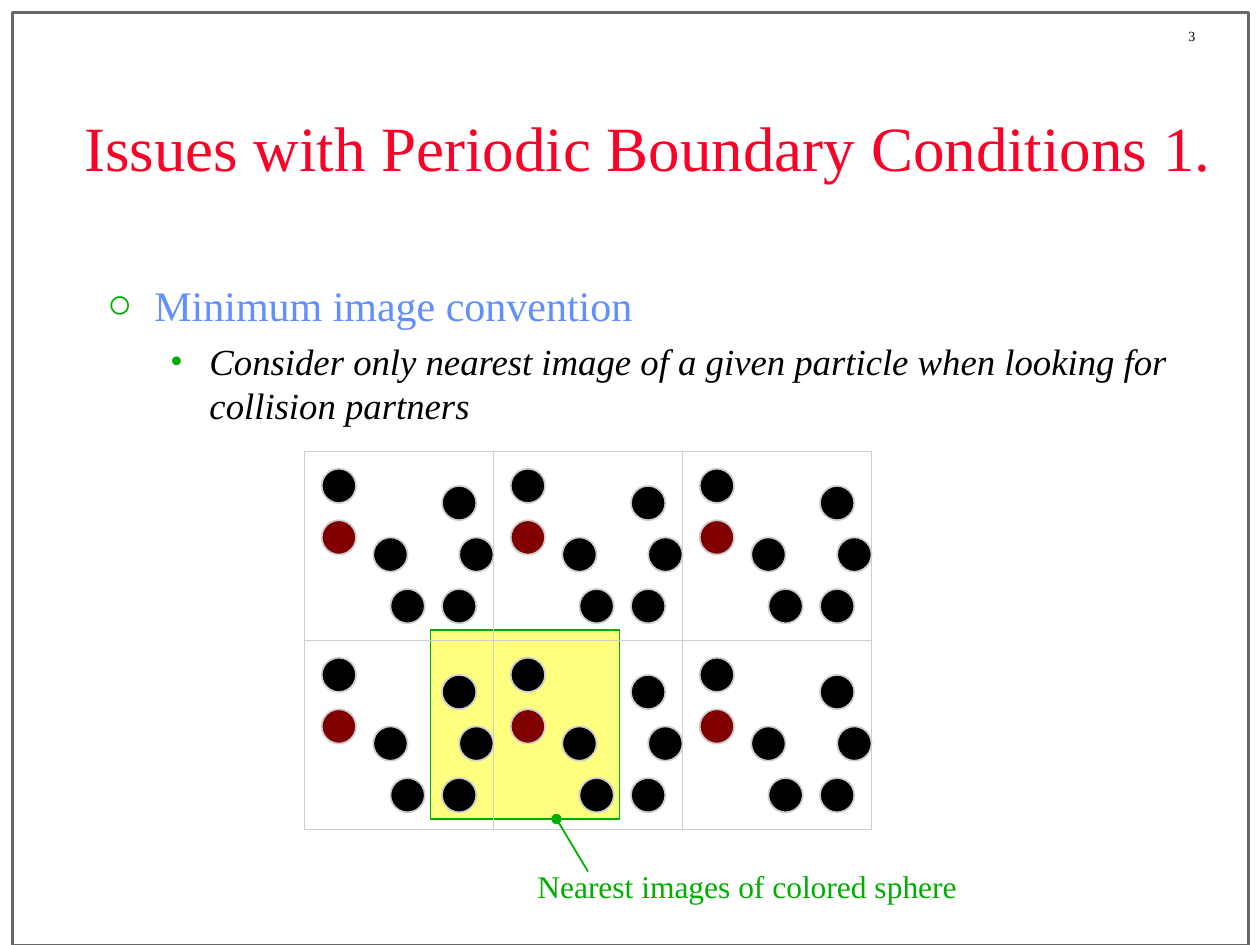
from lxml import etree
from pptx import Presentation
from pptx import util as u
from pptx.dml import color
from pptx.enum import shapes, text
from pptx.oxml import ns

RECT = shapes.MSO_SHAPE.RECTANGLE
OVAL = shapes.MSO_SHAPE.OVAL
GREEN, GREY, BLACK, RED = "00AE00", "CECECE", "000000", "800000"


def rgb(code):
    return color.RGBColor.from_string(code)


def put(item, values):
    for name, value in values.items():
        setattr(item, name, value)


def sub(node, tag, **attrs):
    return etree.SubElement(node, ns.qn(tag), attrs)


class Deck:
    face = "Times New Roman"

    def __init__(self, wide, high):
        self.file = Presentation()
        put(self.file, {"slide_width": u.Pt(wide), "slide_height": u.Pt(high)})
        self.slide = self.file.slides.add_slide(self.file.slide_layouts[1])

    def place(self, item, box):
        names = ("left", "top", "width", "height")
        put(item, {name: u.Pt(size) for name, size in zip(names, box)})

    def frame(self, item, anchor="TOP"):
        put(item.text_frame, {
            "word_wrap": True,
            "auto_size": text.MSO_AUTO_SIZE.NONE,
            "vertical_anchor": getattr(text.MSO_ANCHOR, anchor),
            "margin_left": u.Pt(7.2), "margin_right": u.Pt(7.2),
            "margin_top": u.Pt(3.6), "margin_bottom": u.Pt(3.6)})
        return item.text_frame

    def para(self, para, words, size, tint, gap=0, italic=False,
             align="LEFT", level=0):
        put(para, {"level": level, "space_before": u.Pt(gap),
                   "alignment": getattr(text.PP_ALIGN, align)})
        run = para.add_run()
        run.text = words
        put(run.font, {"name": self.face, "size": u.Pt(size),
                       "italic": italic, "bold": False})
        run.font.color.rgb = rgb(tint)

    def title(self, words, box, size, tint):
        item = self.slide.shapes.title
        self.place(item, box)
        frame = self.frame(item, "MIDDLE")
        self.para(frame.paragraphs[0], words, size, tint, align="CENTER")

    def body(self, box, rows):
        item = self.slide.placeholders[1]
        self.place(item, box)
        frame = self.frame(item)
        for level, (sign, left, hang, style) in enumerate(rows):
            para = frame.add_paragraph() if level else frame.paragraphs[0]
            props = para._p.get_or_add_pPr()
            props.set("marL", str(u.Pt(left)))
            props.set("indent", str(u.Pt(-hang)))
            sub(sub(props, "a:buClr"), "a:srgbClr", val=GREEN)
            sub(props, "a:buFont", typeface=self.face)
            sub(props, "a:buChar", char=sign)
            self.para(para, level=level, **style)

    def label(self, words, box, size, tint):
        item = self.slide.shapes.add_textbox(*map(u.Pt, box))
        self.para(self.frame(item).paragraphs[0], words, size, tint)

    def shape(self, kind, box, line, fill=None, weight=1, alpha=None,
              group=None):
        home = (group or self.slide).shapes
        item = home.add_shape(kind, *map(u.Pt, box))
        item.shadow.inherit = False
        item.line.color.rgb = rgb(line)
        item.line.width = u.Pt(weight)
        if fill is None:
            item.fill.background()
            return
        item.fill.solid()
        item.fill.fore_color.rgb = rgb(fill)
        if alpha:
            tone = item._element.spPr.find(ns.qn("a:solidFill"))[0]
            sub(tone, "a:alpha", val=str(alpha * 1000))

    def cell(self, left, top, side, balls):
        group = self.slide.shapes.add_group_shape()
        self.shape(RECT, (left, top, side, side), GREY, group=group)
        step = side / 11
        for col, row, fill in balls:
            box = (left + col * step, top + row * step, 2 * step, 2 * step)
            self.shape(OVAL, box, GREY, fill, group=group)

    def pointer(self, start, end, tint):
        wire = self.slide.shapes.add_connector(
            shapes.MSO_CONNECTOR.STRAIGHT, *map(u.Pt, start + end))
        wire.line.color.rgb = rgb(tint)
        wire.line.width = u.Pt(1)
        props = wire._element.spPr
        sub(props.find(ns.qn("a:ln")), "a:tailEnd", type="oval")
        sub(props, "a:effectLst")


def main():
    deck = Deck(720, 540)
    deck.shape(RECT, (7.2, 7.2, 706.3, 533.5), "676767", weight=2)
    deck.label("3", (672, 12, 48, 16.8), 8, BLACK)
    deck.title("Issues with Periodic Boundary Conditions 1.",
               (38.2, 48, 663.8, 71.5), 36, "FC0128")
    deck.body((54, 156, 630, 324), [
        ("○", 27, 27, {"words": "Minimum image convention",
                       "size": 24, "tint": "618FFD"}),
        ("•", 58.5, 22.5, {
            "words": "Consider only nearest image of a given particle "
                     "when looking for collision partners",
            "size": 21, "tint": BLACK, "gap": 5.2, "italic": True})])

    side = 108
    balls = [(1, 4, RED), (4, 5, BLACK), (5, 8, BLACK), (8, 2, BLACK),
             (8, 8, BLACK), (1, 1, BLACK), (9, 5, BLACK)]
    deck.shape(RECT, (246, 360, side, side), GREEN, "FFFF00", alpha=50)
    for row in range(2):
        for col in range(3):
            deck.cell(174 + col * side, 258 + row * side, side, balls)

    deck.label("Nearest images of colored sphere",
               (300, 492, 312, 28.8), 18, GREEN)
    deck.pointer((336, 498), (318, 468), GREEN)
    deck.file.save("out.pptx")


if __name__ == "__main__":
    main()
